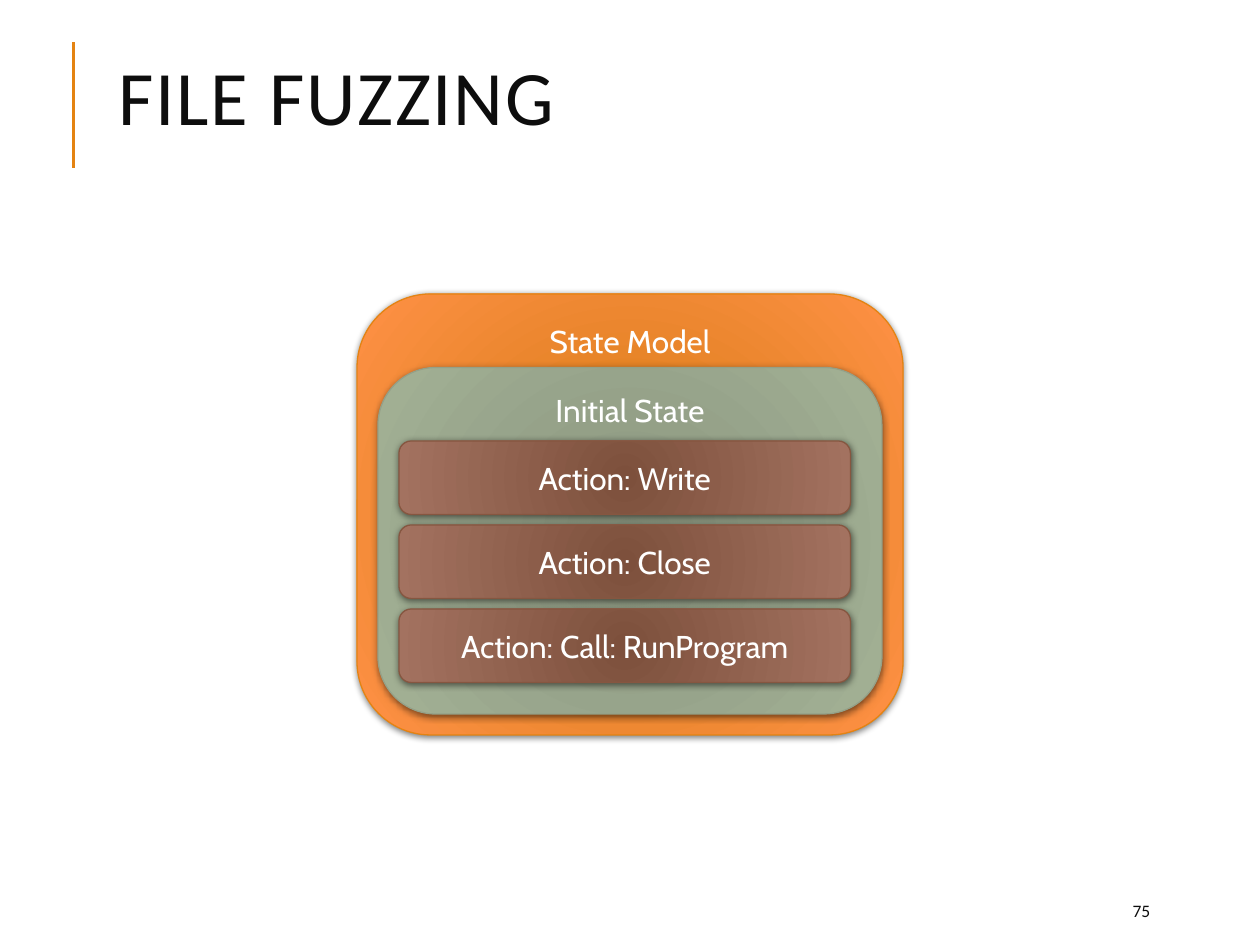
from dataclasses import dataclass
from lxml.etree import SubElement
from pptx import Presentation
from pptx.dml.color import RGBColor as RGB
from pptx.enum.shapes import MSO_CONNECTOR as Wire, MSO_SHAPE as Form
from pptx.enum.text import MSO_ANCHOR as Anchor, PP_ALIGN as Align
from pptx.oxml import parse_xml
from pptx.oxml.ns import nsdecls, qn
from pptx.util import Inches, Pt

UNIT = Inches(1) / 12  # grid: twelve cells to the inch


@dataclass(frozen=True)
class Theme:
    head: str = "Calibri"
    body: str = "Cabin"
    ink: str = "0D0D0D"
    white: str = "FFFFFF"
    rule: str = "E48312"
    # each tone: gradient centre, gradient edge, outline
    model: tuple = ("D47A11", "FF9146", "E48312")
    state: tuple = ("8A957F", "A3B195", "94A088")
    action: tuple = ("7D503C", "A37260", "865640")
    title: int = 44
    label: int = 18
    small: int = 10


T = Theme()


def grid(*cells):
    return [round(c * UNIT) for c in cells]


def write(shape, text, font, size, color, anchor, align):
    frame = shape.text_frame
    frame.word_wrap = True
    frame.vertical_anchor = anchor
    frame.text = text
    para = frame.paragraphs[0]
    para.alignment = align
    run = para.runs[0]
    run.font.name = font
    run.font.size = Pt(size)
    run.font.color.rgb = RGB.from_string(color)
    return para


def glow(shape, inner, outer):
    """Radial gradient, from the centre outwards."""
    shape.fill.solid()
    props = shape._element.spPr
    stops = "".join(
        f'<a:gs pos="{pos}"><a:srgbClr val="{color}"/></a:gs>'
        for pos, color in ((0, inner), (100000, outer)))
    grad = parse_xml(
        f'<a:gradFill {nsdecls("a")} rotWithShape="1"><a:gsLst>{stops}</a:gsLst>'
        '<a:path path="circle"><a:fillToRect l="100000" t="100000" '
        'r="100000" b="100000"/></a:path></a:gradFill>')
    props.replace(props.find(qn("a:solidFill")), grad)


def shade(shape):
    """Soft shadow straight below."""
    shape.shadow.inherit = False
    list_ = shape._element.spPr.find(qn("a:effectLst"))
    list_.append(parse_xml(
        f'<a:outerShdw {nsdecls("a")} blurRad="{Pt(4)}" dist="{Pt(1)}" '
        'dir="5400000" rotWithShape="0"><a:srgbClr val="000000">'
        '<a:alpha val="50000"/></a:srgbClr></a:outerShdw>'))


def card(slide, box, text, tone, anchor):
    shape = slide.shapes.add_shape(Form.ROUNDED_RECTANGLE, *grid(*box))
    inner, outer, edge = tone
    glow(shape, inner, outer)
    shape.line.color.rgb = RGB.from_string(edge)
    shape.line.width = Pt(0.75)
    shade(shape)
    write(shape, text, T.body, T.label, T.white, anchor, Align.CENTER)


def header(slide, box, text):
    # Accent rule
    rule = slide.shapes.add_connector(Wire.STRAIGHT, *grid(7, 16, 7, 4))
    rule.line.color.rgb = RGB.from_string(T.rule)
    rule.line.width = Pt(1.5)
    SubElement(rule._element.spPr, qn("a:effectLst"))
    # Title
    title = slide.shapes.title
    title.left, title.top, title.width, title.height = map(Inches, box)
    para = write(title, text, T.head, T.title, T.ink, Anchor.MIDDLE, Align.LEFT)
    para.line_spacing = 0.8
    para.runs[0].font._element.set("spc", "100")


def footer(slide, box, text):
    num = slide.shapes.add_textbox(*map(Inches, box))
    write(num, text, T.head, T.small, T.ink, Anchor.MIDDLE, Align.LEFT)


def diagram(slide, box, names):
    """Nested cards: model, state inside it, actions stacked in the state."""
    x, y, w, h = box
    card(slide, box, "State Model", T.model, Anchor.TOP)
    card(slide, (x + 2, y + 7, w - 4, h - 9), "Initial State", T.state, Anchor.TOP)
    for i, name in enumerate(names):
        card(slide, (x + 4, y + 14 + 8 * i, w - 9, 7), name, T.action, Anchor.MIDDLE)


def main():
    deck = Presentation()
    deck.slide_width, deck.slide_height = Inches(10), Inches(7.5)
    slide = deck.slides.add_slide(deck.slide_layouts[5])
    header(slide, (0.84, 0, 7.97, 1.64), "FILE FUZZING")
    footer(slide, (8.89, 7.08, 0.8, 0.3), "75")
    diagram(slide, (34, 28, 52, 42),
            ("Action: Write", "Action: Close", "Action: Call: RunProgram"))
    deck.save("out.pptx")


if __name__ == "__main__":
    main()
